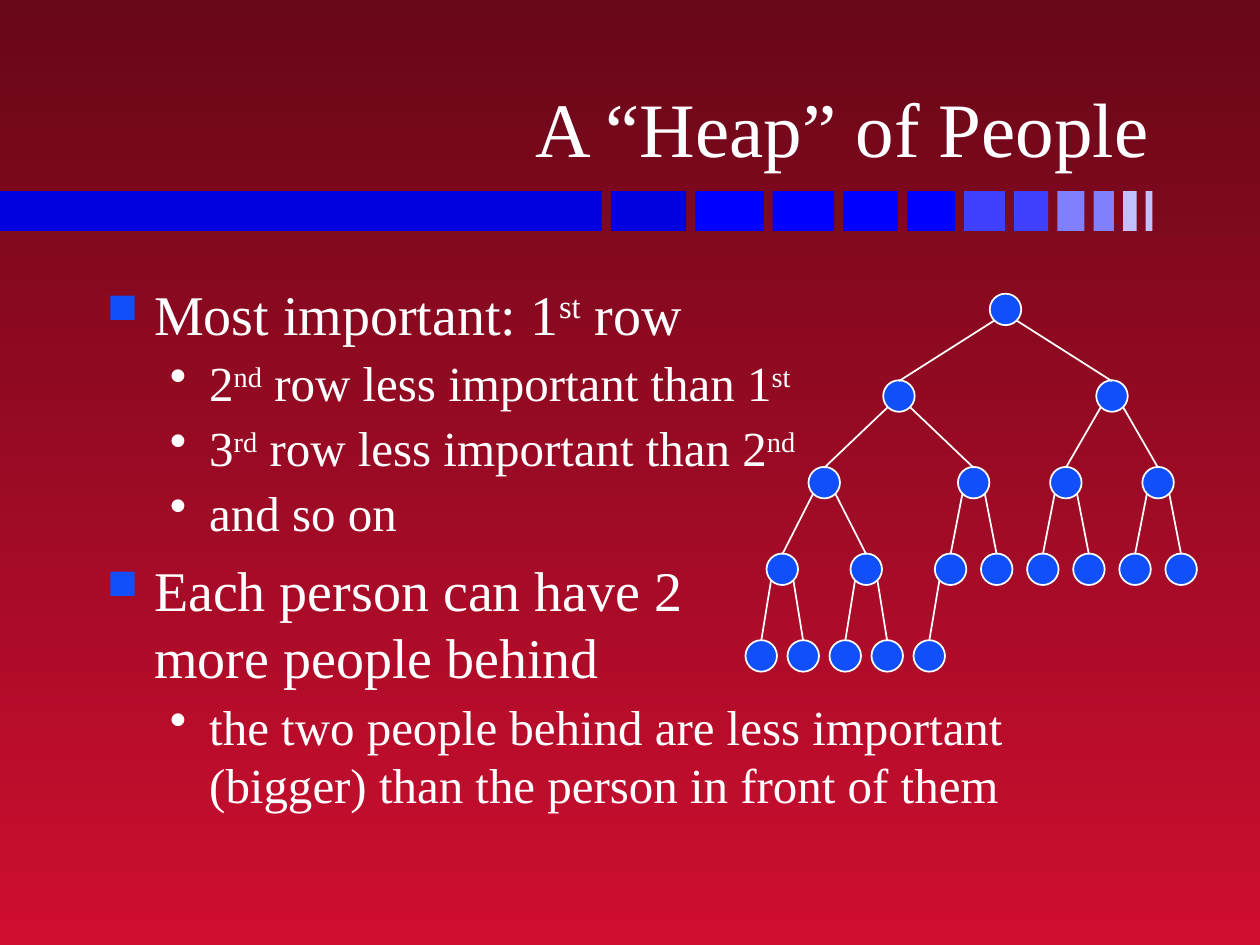
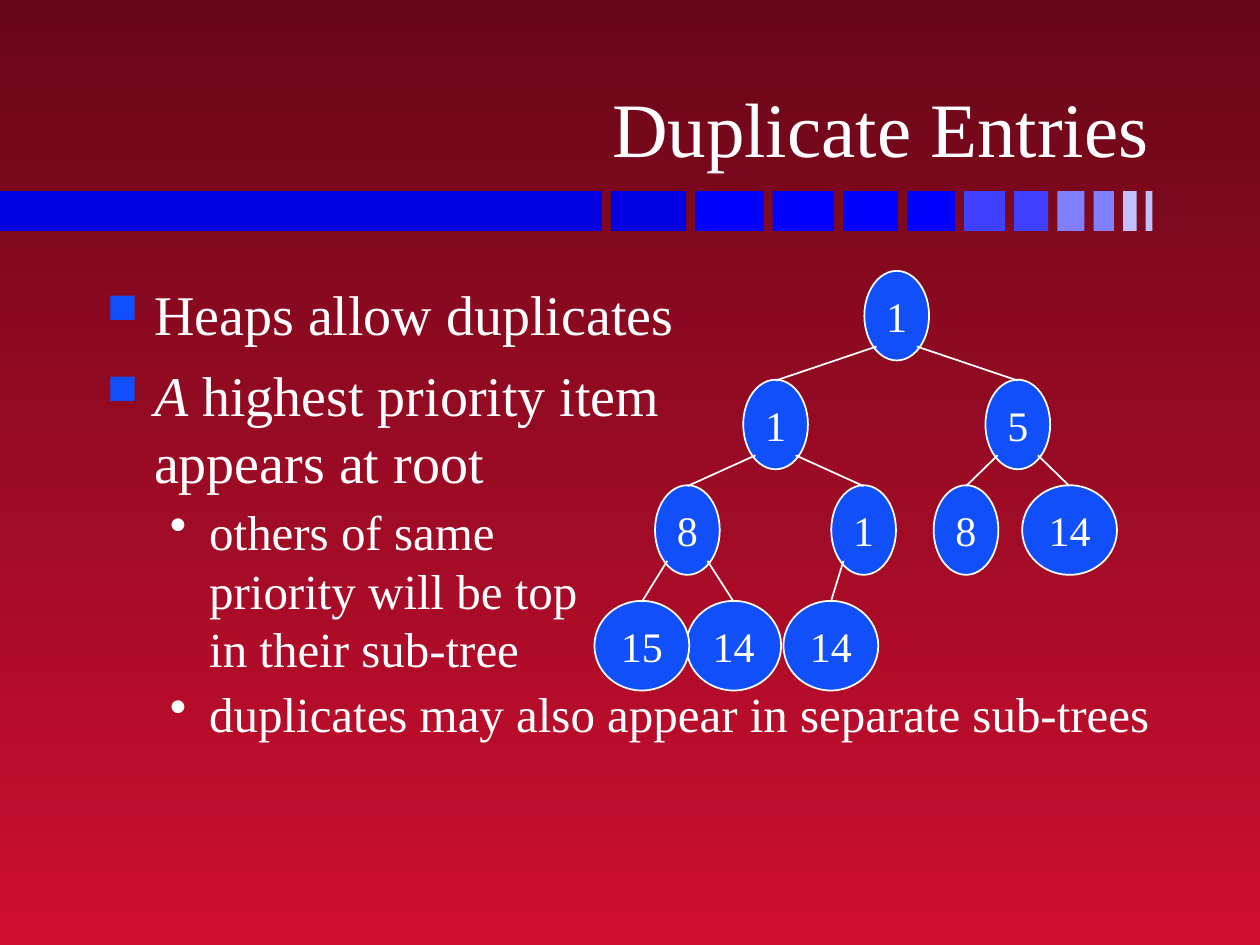
from lxml import etree
from pptx import Presentation
from pptx.dml.color import RGBColor
from pptx.enum.shapes import MSO_CONNECTOR, MSO_SHAPE
from pptx.enum.text import MSO_ANCHOR, PP_ALIGN
from pptx.oxml.ns import qn
from pptx.util import Pt

RECT, OVAL, LINE = MSO_SHAPE.RECTANGLE, MSO_SHAPE.OVAL, MSO_CONNECTOR.STRAIGHT
RIGHT, CENTER = PP_ALIGN.RIGHT, PP_ALIGN.CENTER
MIDDLE, BOTTOM = MSO_ANCHOR.MIDDLE, MSO_ANCHOR.BOTTOM

FONT = "Times New Roman"
WHITE, BLUE = "FFFFFF", "114FFB"
BAR_COLORS = (["0000E0"] * 2 + ["0000FF"] * 4 + ["4040FF"] * 2
              + ["8080FF"] * 2 + ["C0C0FF"] * 2)
BAR_GAP = 5.2

# Per level: left margin, space before, text size, bullet, its colour and size
LEVELS = [(27, 27, 8, 32, "■", BLUE, 75), (58.5, 22.5, 3.5, 28, "•", WHITE, 100)]


def rgb(value):
    """Turn a hex string into a colour."""
    return RGBColor.from_string(value)


def style_text(p, size):
    """Give a paragraph the deck's font, in white."""
    p.font.name, p.font.size = FONT, Pt(size)
    p.font.color.rgb = rgb(WHITE)


# Trees are in level order: the parent of node i is node (i - 1) // 2.
# A node is (centre x, top, width, label).
row5 = [435 + 24 * i for i in range(5)]
row4 = [447, 495] + [543.2 + 26.35 * i for i in range(6)]
rows = [row4, row5]
while len(rows[0]) > 1:
    below = rows[0]
    rows.insert(0, [(a + b) / 2 for a, b in zip(below[::2], below[1::2])])
people = [(x, 167.8 + 49.5 * level, 18, "")
          for level, row in enumerate(rows) for x in row]

entry_rows = [
    (154.8, [(512.4, "1")]),
    (217, [(443.2, "1"), (581.6, "5")]),
    (277.3, [(392.8, "8"), (493.5, "1"), (552, "8"), (611.2, "14")]),
    (343.4, [(366.8, "15"), (419.3, "14"), (474.8, "14")]),
]
entries = [(x, top, 37 if len(label) == 1 else 54.2, label)
           for top, row in entry_rows for x, label in row]

# In the text, "|" parts runs, "^" opens a superscript and "/" an italic run.
# The last two items are the node height and the offset where edges start.
SLIDES = [
    ("A “Heap” of People", [
        (0, "Most important: 1|^st| row"),
        (1, "2|^nd| row less important than 1|^st"),
        (1, "3|^rd| row less important than 2|^nd"),
        (1, "and so on"),
        (0, "Each person can have 2\nmore people behind"),
        (1, "the two people behind are less important (bigger) "
            "than the person in front of them"),
    ], people, 18, (6.4, 15.4)),
    ("Duplicate Entries", [
        (0, "Heaps allow duplicates"),
        (0, "/A| highest priority item\nappears at root"),
        (1, "others of same\npriority will be top\nin their sub-tree"),
        (1, "duplicates may also appear in separate sub-trees"),
    ], entries, 51.2, (11.5, 43.2)),
]

prs = Presentation()
prs.slide_width, prs.slide_height = Pt(720), Pt(540)
fill = prs.slide_master.background.fill
fill.gradient()
fill.gradient_angle = 270
for stop, color in zip(fill.gradient_stops, ("670718", "CF0E30")):
    stop.color.rgb = rgb(color)

for title, bullets, nodes, node_height, (edge_dx, edge_dy) in SLIDES:
    s = prs.slides.add_slide(prs.slide_layouts[5])

    # Band of bars that get narrower to the right
    left, width = 0, 343.9
    for i, color in enumerate(BAR_COLORS):
        sp = s.shapes.add_shape(RECT, Pt(left), Pt(109.2), Pt(width), Pt(22.8))
        sp.shadow.inherit = False
        sp.fill.solid()
        sp.fill.fore_color.rgb = rgb(color)
        sp.line.fill.background()
        left += width + BAR_GAP
        width = 43 - 3.92 * i

    # Title
    sp = s.shapes.title
    sp.left, sp.top, sp.width, sp.height = Pt(53.3), Pt(13.7), Pt(610.6), Pt(88.6)
    tf = sp.text_frame
    tf.text = title
    tf.vertical_anchor = BOTTOM
    p = tf.paragraphs[0]
    p.alignment = RIGHT
    style_text(p, 44)

    # Bulleted text
    tf = s.shapes.add_textbox(Pt(54), Pt(156.2), Pt(612), Pt(324)).text_frame
    tf.word_wrap = True
    for i, (level, text) in enumerate(bullets):
        margin, hang, before, size, bullet, color, percent = LEVELS[level]
        p = tf.add_paragraph() if i else tf.paragraphs[0]
        p.level = level
        p.space_before = Pt(before)
        style_text(p, size)
        pPr = p._p.get_or_add_pPr()
        pPr.set("marL", str(Pt(margin)))
        pPr.set("indent", str(-Pt(hang)))
        marks = [etree.Element(qn("a:" + tag))
                 for tag in ("buClr", "buSzPct", "buChar")]
        etree.SubElement(marks[0], qn("a:srgbClr")).set("val", color)
        marks[1].set("val", str(percent * 1000))
        marks[2].set("char", bullet)
        at = pPr.index(pPr.find(qn("a:defRPr")))
        pPr[at:at] = marks
        for part in text.split("|"):
            for n, line in enumerate(part.split("\n")):
                if n:
                    p.add_line_break()
                r = p.add_run()
                r.text = line.lstrip("^/")
                if line.startswith("^"):
                    r.font._element.set("baseline", "30000")
                elif line.startswith("/"):
                    r.font.italic = True

    # Tree nodes, the last one at the back
    for x, top, width, label in reversed(nodes):
        sp = s.shapes.add_shape(OVAL, Pt(x - width / 2), Pt(top),
                                Pt(width), Pt(node_height))
        sp.shadow.inherit = False
        sp.fill.solid()
        sp.fill.fore_color.rgb = rgb(BLUE)
        sp.line.color.rgb = rgb(WHITE)
        sp.line.width = Pt(1)
        if label:
            tf = sp.text_frame
            tf.text = label
            tf.word_wrap = False
            tf.vertical_anchor = MIDDLE
            p = tf.paragraphs[0]
            p.alignment = CENTER
            style_text(p, 24)

    # Edges from each parent to the top of its child
    for i, (x, top, _, _) in enumerate(nodes[1:], 1):
        parent_x, parent_top = nodes[(i - 1) // 2][:2]
        side = 1 if x > parent_x else -1
        edge = s.shapes.add_connector(LINE, Pt(parent_x + side * edge_dx),
                                      Pt(parent_top + edge_dy), Pt(x), Pt(top + 0.5))
        edge.line.color.rgb = rgb(WHITE)
        edge.line.width = Pt(1)
        etree.SubElement(edge._element.spPr, qn("a:effectLst"))

prs.save("out.pptx")
